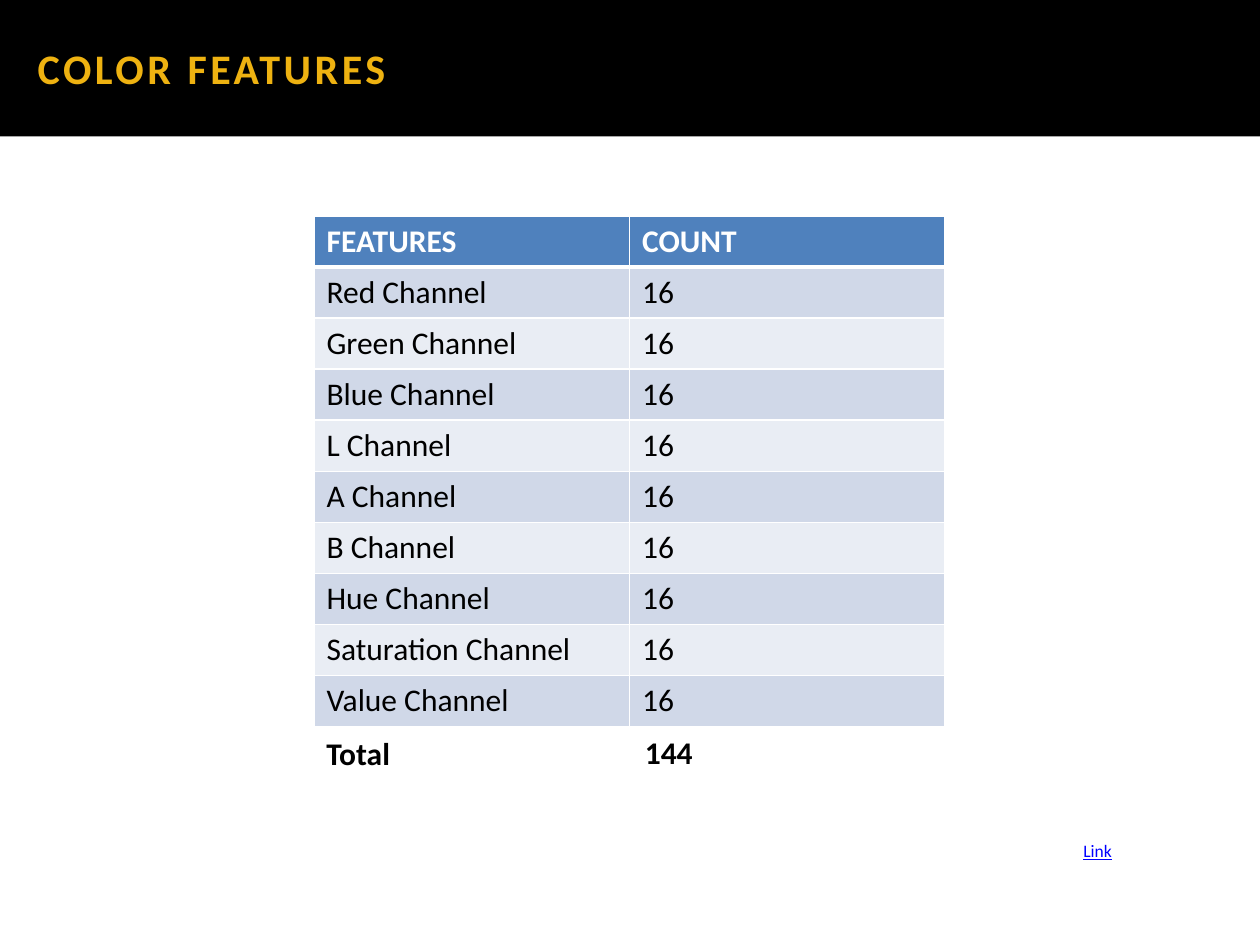
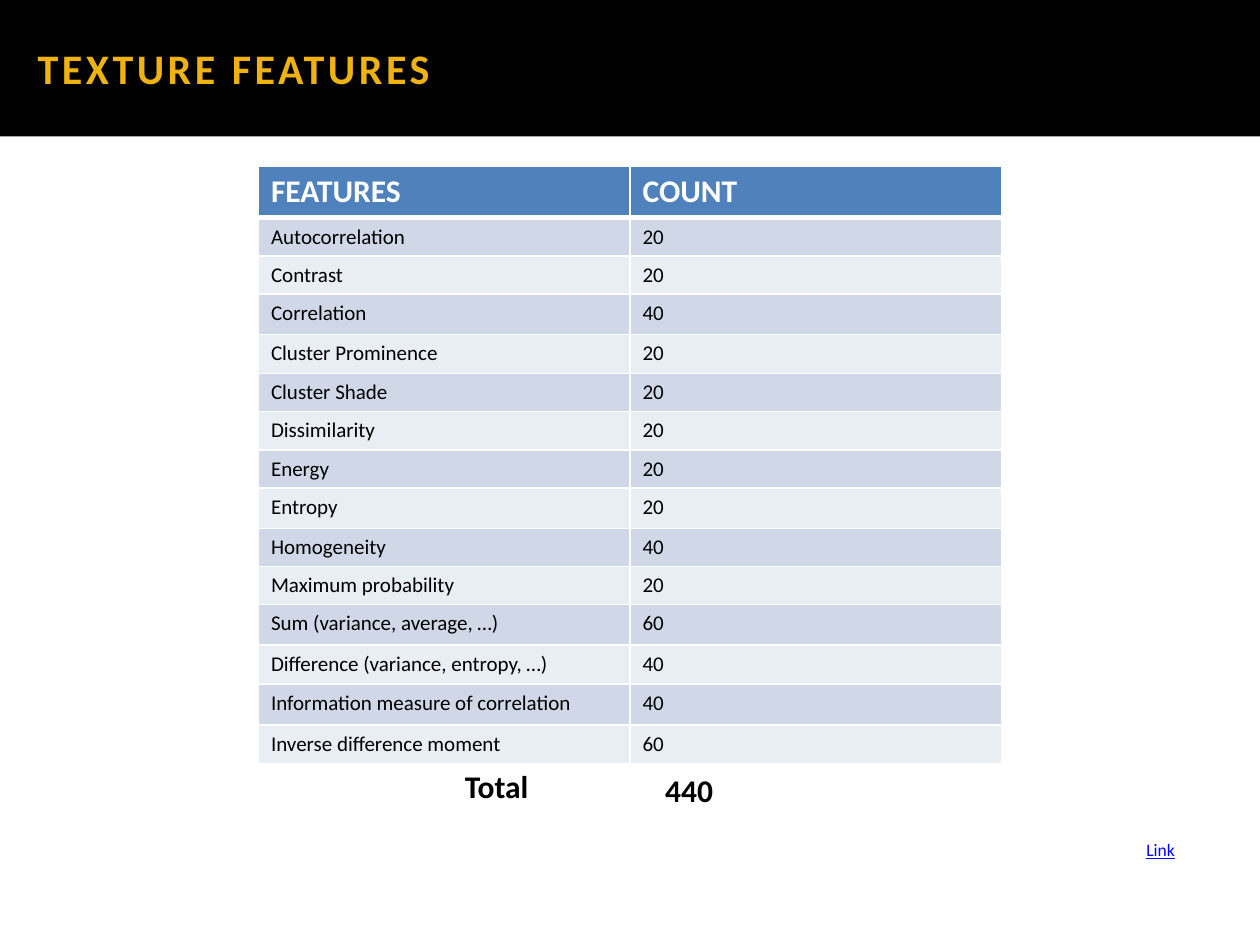
import dataclasses

import lxml.etree
import pptx
import pptx.dml.color
import pptx.enum.shapes
import pptx.enum.text
import pptx.oxml.ns
import pptx.util

Cm = pptx.util.Cm
Pt = pptx.util.Pt
qn = pptx.oxml.ns.qn


@dataclasses.dataclass(frozen=True)
class Theme:
    font: str = "Calibri"
    white: str = "FFFFFF"
    black: str = "000000"
    gold: str = "EEB211"
    head: str = "4F81BD"
    bands: tuple = ("D0D8E8", "E9EDF4")
    link: str = "0000FF"
    title: int = 24
    large: int = 18
    small: int = 12
    tiny: int = 10
    thin: int = 1
    thick: int = 3


THEME = Theme()

COLOR_ROWS = [(name + " Channel", "16") for name in (
    "Red", "Green", "Blue", "L", "A", "B", "Hue", "Saturation", "Value")]

TEXTURE_ROWS = [
    ("Autocorrelation", "20"),
    ("Contrast", "20"),
    ("Correlation", "40"),
    ("Cluster Prominence", "20"),
    ("Cluster Shade", "20"),
    ("Dissimilarity", "20"),
    ("Energy", "20"),
    ("Entropy", "20"),
    ("Homogeneity", "40"),
    ("Maximum probability", "20"),
    ("Sum (variance, average, …)", "60"),
    ("Difference (variance, entropy, …)", "40"),
    ("Information measure of correlation", "40"),
    ("Inverse difference moment", "60"),
]
TEXTURE_HEIGHTS = [0.77, 0.77, 0.81, 0.79, 0.77, 0.77, 0.77,
                   0.81, 0.77, 0.77, 0.81, 0.79, 0.83, 0.77]
HEAD_HEIGHT = 1.03


def rgb(code):
    return pptx.dml.color.RGBColor.from_string(code)


def write(frame, text, size=THEME.large, color=THEME.black, bold=False,
          under=False, space=0):
    frame.word_wrap = True
    para = frame.paragraphs[0]
    para.alignment = pptx.enum.text.PP_ALIGN.LEFT
    run = para.add_run()
    run.text = text
    font = run.font
    font.name = THEME.font
    font.size = Pt(size)
    font.bold = bold
    font.color.rgb = rgb(color)
    if under:
        font.underline = True
    if space:
        run._r.get_or_add_rPr().set("spc", str(space * 100))


def add_title(slide, text, width):
    band = slide.shapes.add_shape(
        pptx.enum.shapes.MSO_SHAPE.RECTANGLE, 0, 0, width, Cm(2.75))
    band.shadow.inherit = False
    band.fill.solid()
    band.fill.fore_color.rgb = rgb(THEME.black)
    band.line.fill.background()
    frame = band.text_frame
    frame.margin_left = Cm(0.76)
    frame.vertical_anchor = pptx.enum.text.MSO_ANCHOR.MIDDLE
    write(frame, text, size=THEME.title, color=THEME.gold, bold=True, space=2)


def add_label(slide, text, left, top, width, height, **style):
    box = slide.shapes.add_textbox(Cm(left), Cm(top), Cm(width), Cm(height))
    write(box.text_frame, text, **style)


def add_edge(cell, side, width):
    props = cell._tc.get_or_add_tcPr()
    line = lxml.etree.SubElement(props, qn("a:ln" + side), w=str(Pt(width)))
    fill = lxml.etree.SubElement(line, qn("a:solidFill"))
    lxml.etree.SubElement(fill, qn("a:srgbClr"), val=THEME.white)


def fill_cell(cell, text, row, size):
    for side in "LRTB":
        heavy = (row, side) in ((0, "B"), (1, "T"))
        add_edge(cell, side, THEME.thick if heavy else THEME.thin)
    cell.fill.solid()
    if row == 0:
        cell.fill.fore_color.rgb = rgb(THEME.head)
        write(cell.text_frame, text, color=THEME.white, bold=True)
    else:
        cell.fill.fore_color.rgb = rgb(THEME.bands[(row - 1) % 2])
        write(cell.text_frame, text, size=size)


def add_table(slide, rows, left, top, width, heights, size):
    lines = [("FEATURES", "COUNT"), *rows]
    heights = [HEAD_HEIGHT, *heights]
    table = slide.shapes.add_table(
        len(lines), 2, Cm(left), Cm(top), Cm(width), Cm(sum(heights))).table
    for col in table.columns:
        col.width = Cm(width / 2)
    for row, (line, height) in enumerate(zip(lines, heights)):
        table.rows[row].height = Cm(height)
        for col, text in enumerate(line):
            fill_cell(table.cell(row, col), text, row, size)


def add_page(deck, title, grid, total, label_at, total_at, link_at):
    slide = deck.slides.add_slide(deck.slide_layouts[6])
    add_title(slide, title, deck.slide_width)
    add_table(slide, **grid)
    add_label(slide, "Total", *label_at, 2.36, 1.02, bold=True)
    add_label(slide, total, *total_at, 1.78, 1.02, bold=True)
    add_label(slide, "Link", *link_at, 1.63, 0.69, size=THEME.tiny,
              color=THEME.link, under=True)


def main():
    deck = pptx.Presentation()
    deck.slide_width = Cm(25.4)
    deck.slide_height = Cm(19.05)
    add_page(
        deck, "COLOR FEATURES",
        dict(rows=COLOR_ROWS, left=6.33, top=4.35, width=12.72,
             heights=[HEAD_HEIGHT] * len(COLOR_ROWS), size=THEME.large),
        total="144", label_at=(6.33, 14.68), total_at=(12.75, 14.65),
        link_at=(21.59, 16.81))
    add_page(
        deck, "TEXTURE FEATURES",
        dict(rows=TEXTURE_ROWS, left=5.21, top=3.36, width=14.98,
             heights=TEXTURE_HEIGHTS, size=THEME.small),
        total="440", label_at=(9.12, 15.34), total_at=(13.16, 15.42),
        link_at=(22.86, 16.79))
    deck.save("out.pptx")


if __name__ == "__main__":
    main()
